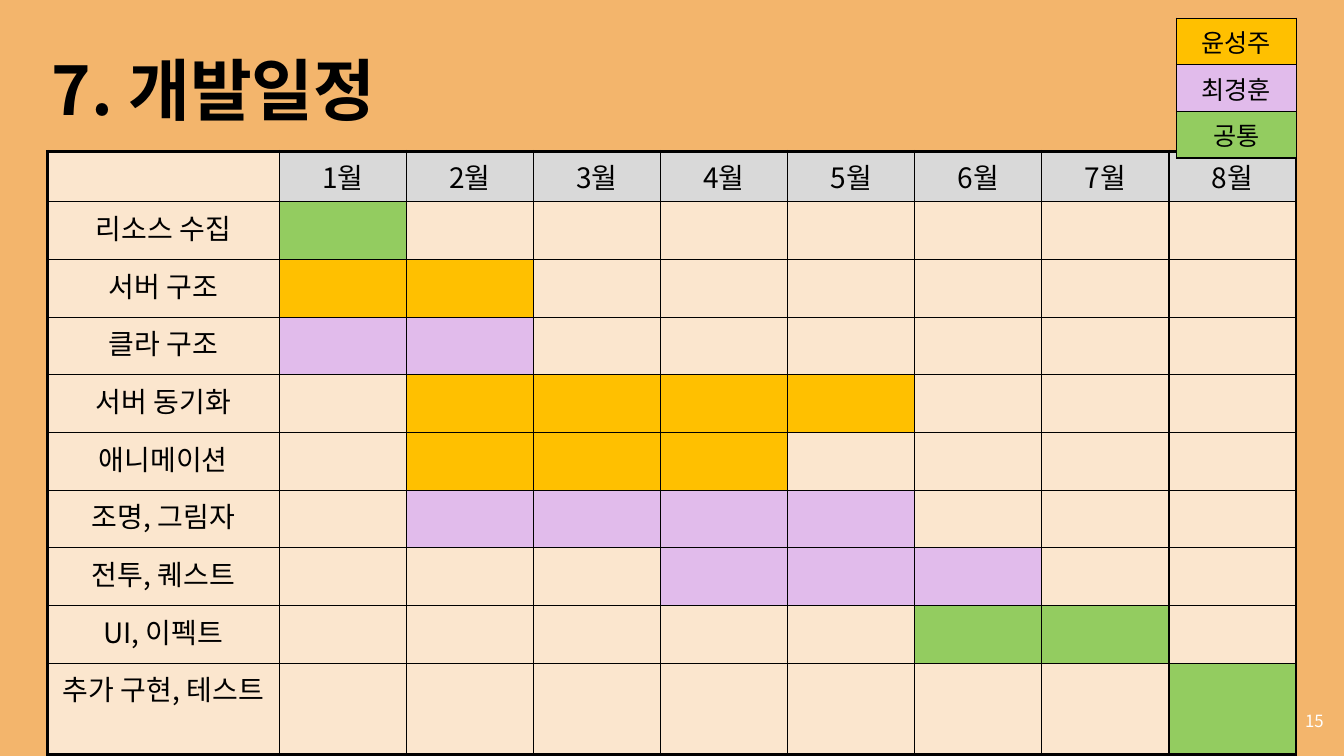
"""Build the development schedule slide."""
from dataclasses import dataclass
from typing import Optional

from lxml.etree import SubElement
from pptx import Presentation
from pptx.dml.color import RGBColor
from pptx.enum.text import MSO_ANCHOR as Anchor, MSO_AUTO_SIZE as AutoSize, PP_ALIGN as Align
from pptx.oxml.ns import qn
from pptx.util import Inches, Pt

FONT = "Noto Sans CJK KR"
BLACK = RGBColor(0x00, 0x00, 0x00)
WHITE = RGBColor(0xFF, 0xFF, 0xFF)
ORANGE = RGBColor(0xF3, 0xB5, 0x6C)
CREAM = RGBColor(0xFB, 0xE6, 0xCE)
GRAY = RGBColor(0xD9, 0xD9, 0xD9)
YELLOW = RGBColor(0xFF, 0xC0, 0x00)
PURPLE = RGBColor(0xE1, 0xBB, 0xEB)
GREEN = RGBColor(0x93, 0xCC, 0x60)

WIDTH, HEIGHT = Inches(13.33), Inches(7.5)
THIN, THICK = Pt(1), Pt(2.25)
MONTHS = 8


@dataclass(frozen=True)
class Box:
    """A frame in percent of the slide's width and height."""
    left: float
    top: float
    width: float
    height: float

    def frame(self) -> tuple[int, int, int, int]:
        """Return left, top, width and height as lengths."""
        return across(self.left), down(self.top), across(self.width), down(self.height)


@dataclass(frozen=True)
class Task:
    """A row of the schedule with its owner's colour and months."""
    name: str
    color: RGBColor
    first: int
    last: int


@dataclass(frozen=True)
class Entry:
    """The text and fill of one table cell."""
    text: str
    color: RGBColor


TITLE = Box(3.08, 4.67, 91.28, 15.33)
PAGE_NUMBER = Box(76.73, 92.67, 22.5, 5.33)
SCHEDULE_LEFT, SCHEDULE_TOP = 3.53, 20
SCHEDULE_COLUMNS = [17.25] + [9.46] * MONTHS
LEGEND_LEFT, LEGEND_TOP = 87.53, 2.4
LEGEND_COLUMNS = [8.93]

TASKS = [
    Task("리소스 수집", GREEN, 1, 1),
    Task("서버 구조", YELLOW, 1, 2),
    Task("클라 구조", PURPLE, 1, 2),
    Task("서버 동기화", YELLOW, 2, 5),
    Task("애니메이션", YELLOW, 2, 4),
    Task("조명, 그림자", PURPLE, 2, 5),
    Task("전투, 퀘스트", PURPLE, 4, 6),
    Task("UI, 이펙트", GREEN, 6, 7),
    Task("추가 구현, 테스트", GREEN, 8, 8),
]
HEADING_ROW, TASK_ROW, TWO_LINE_ROW = 6.7, 7.63, 12.1
SCHEDULE_ROWS = [HEADING_ROW] + [TASK_ROW] * (len(TASKS) - 1) + [TWO_LINE_ROW]
LEGEND = [[Entry("윤성주", YELLOW)], [Entry("최경훈", PURPLE)], [Entry("공통", GREEN)]]
LEGEND_ROWS = [6.17] * len(LEGEND)


def across(percent: float) -> int:
    """Return a share of the slide's width."""
    return round(WIDTH * percent / 100)


def down(percent: float) -> int:
    """Return a share of the slide's height."""
    return round(HEIGHT * percent / 100)


def write(text_frame, text: str, size: float, align: Align,
          color: RGBColor = BLACK, bold: bool = False):
    """Fill a text frame with one formatted paragraph and return it."""
    text_frame.text = text
    paragraph = text_frame.paragraphs[0]
    paragraph.alignment = align
    font = paragraph.font
    font.size, font.bold, font.name = Pt(size), bold, FONT
    font.color.rgb = color
    properties = paragraph._p.pPr.find(qn("a:defRPr"))
    SubElement(properties, qn("a:ea"), typeface=FONT)
    return paragraph


def draw_border(cell, side: str, width: int) -> None:
    """Add a solid black border to one side of a cell."""
    line = SubElement(cell._tc.get_or_add_tcPr(), qn(f"a:ln{side}"), w=str(width))
    fill = SubElement(line, qn("a:solidFill"))
    SubElement(fill, qn("a:srgbClr"), val=str(BLACK))


def draw_table(slide, left: float, top: float, columns: list[float], rows: list[float],
               entries: list[list[Entry]], size: float, edge: int) -> None:
    """Draw a bordered table whose outer edge has its own line width."""
    box = Box(left, top, sum(columns), sum(rows))
    table = slide.shapes.add_table(len(rows), len(columns), *box.frame()).table
    table.first_row = table.horz_banding = False
    for column, width in zip(table.columns, columns):
        column.width = across(width)
    for row, height in zip(table.rows, rows):
        row.height = down(height)
    for i, line in enumerate(entries):
        for j, entry in enumerate(line):
            cell = table.cell(i, j)
            outer = {"L": j == 0, "R": j == len(columns) - 1,
                     "T": i == 0, "B": i == len(rows) - 1}
            for side, is_outer in outer.items():
                draw_border(cell, side, edge if is_outer else THIN)
            cell.fill.solid()
            cell.fill.fore_color.rgb = entry.color
            if entry.text:
                write(cell.text_frame, entry.text, size, Align.CENTER)


def schedule_line(task: Optional[Task]) -> list[Entry]:
    """Return the entries of a task, or the month headings when there is none."""
    if task is None:
        return [Entry("", CREAM)] + [Entry(f"{month}월", GRAY) for month in range(1, MONTHS + 1)]
    return [Entry(task.name, CREAM)] + [
        Entry("", task.color if task.first <= month <= task.last else CREAM)
        for month in range(1, MONTHS + 1)]


def main() -> None:
    """Build and save the slide."""
    presentation = Presentation()
    presentation.slide_width, presentation.slide_height = WIDTH, HEIGHT
    slide = presentation.slides.add_slide(presentation.slide_layouts[5])
    slide.background.fill.solid()
    slide.background.fill.fore_color.rgb = ORANGE

    title = slide.shapes.title
    title.left, title.top, title.width, title.height = TITLE.frame()
    title.text_frame.auto_size = AutoSize.NONE
    title.text_frame.vertical_anchor = Anchor.MIDDLE
    write(title.text_frame, "7. 개발일정", 48, Align.LEFT, bold=True).line_spacing = 0.9

    page_number = slide.shapes.add_textbox(*PAGE_NUMBER.frame()).text_frame
    page_number.word_wrap = True
    page_number.vertical_anchor = Anchor.MIDDLE
    write(page_number, "15", 12, Align.RIGHT, WHITE)

    schedule = [schedule_line(task) for task in [None, *TASKS]]
    draw_table(slide, SCHEDULE_LEFT, SCHEDULE_TOP, SCHEDULE_COLUMNS, SCHEDULE_ROWS,
               schedule, 20, THICK)
    draw_table(slide, LEGEND_LEFT, LEGEND_TOP, LEGEND_COLUMNS, LEGEND_ROWS, LEGEND, 18, THIN)
    presentation.save("out.pptx")


if __name__ == "__main__":
    main()
